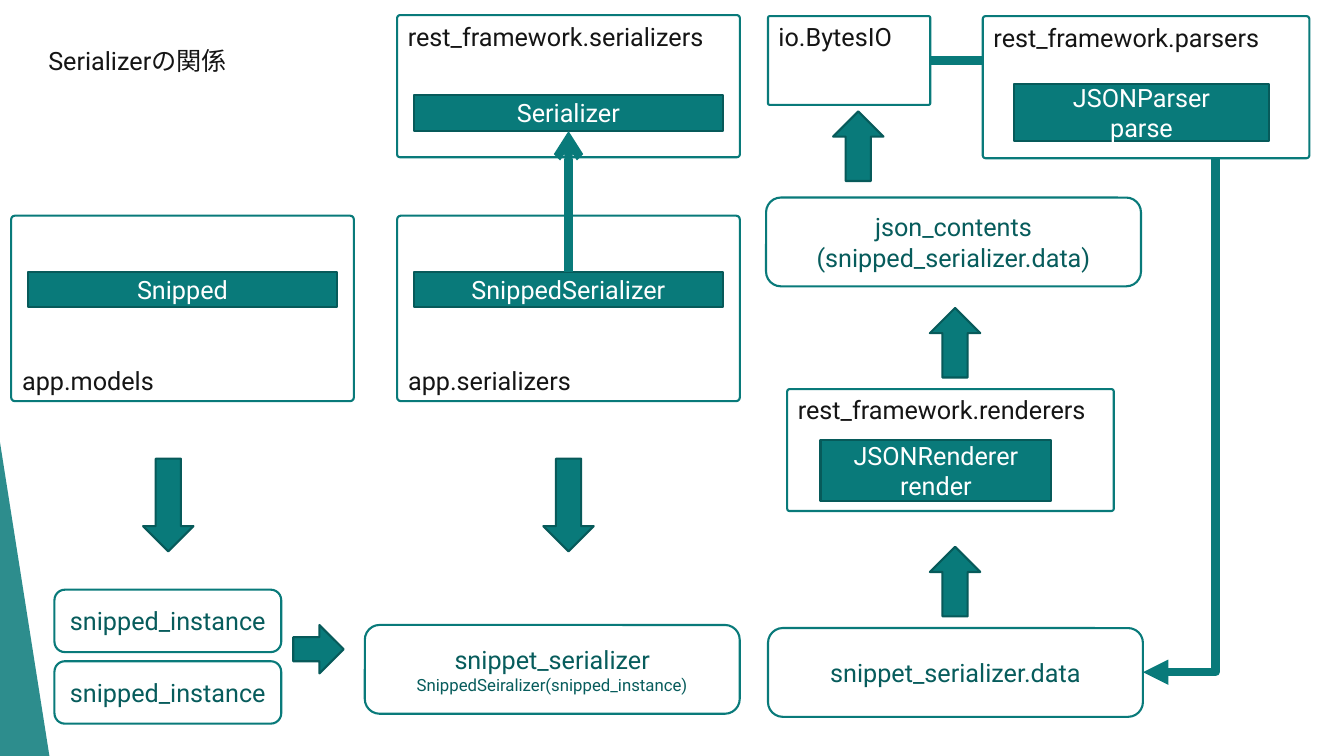
from lxml import etree
from pptx import Presentation
from pptx.dml.color import RGBColor
from pptx.enum import shapes, text
from pptx.oxml import ns
from pptx.util import Pt

TEAL = RGBColor(0x09, 0x7A, 0x7A)
EDGE = RGBColor(0x07, 0x5A, 0x5A)
DEEP = RGBColor(0x07, 0x5C, 0x5C)
INK = RGBColor(0x15, 0x15, 0x15)
WHITE = RGBColor(0xFF, 0xFF, 0xFF)
KIND = shapes.MSO_SHAPE
ROUTE = shapes.MSO_CONNECTOR
ANCHOR = text.MSO_ANCHOR
ALIGN = text.PP_ALIGN


def add_xml(parent, tag, **attributes):
    return etree.SubElement(parent, ns.qn(tag), attributes)


class Diagram:
    font, size, border, thick = "Roboto", 18, 1.5, 6

    def __init__(self, slide):
        self.shapes = slide.shapes

    def shape(self, kind, box, fill, line):
        item = self.shapes.add_shape(kind, *map(Pt, box))
        item.shadow.inherit = False
        item.fill.solid()
        item.fill.fore_color.rgb = fill
        if line is None:
            item.line.fill.background()
        else:
            item.line.color.rgb = line
            item.line.width = Pt(self.border)
        return item

    def label(self, item, words, color, anchor, align, sizes=()):
        frame = item.text_frame
        frame.word_wrap = True
        frame.vertical_anchor = anchor
        frame.text = words
        for i, paragraph in enumerate(frame.paragraphs):
            paragraph.alignment = align
            paragraph.font.name = self.font
            paragraph.font.size = Pt(sizes[i] if sizes else self.size)
            paragraph.font.color.rgb = color

    def module(self, words, box, anchor=ANCHOR.TOP):
        item = self.shape(KIND.ROUNDED_RECTANGLE, box, WHITE, TEAL)
        item.adjustments[0] = 0.02
        self.label(item, words, INK, anchor, ALIGN.LEFT)

    def class_bar(self, words, box):
        item = self.shape(KIND.ROUNDED_RECTANGLE, box, TEAL, EDGE)
        item.adjustments[0] = 0
        self.label(item, words, WHITE, ANCHOR.MIDDLE, ALIGN.CENTER)

    def instance(self, words, box, sizes=()):
        item = self.shape(KIND.ROUNDED_RECTANGLE, box, WHITE, TEAL)
        self.label(item, words, DEEP, ANCHOR.MIDDLE, ALIGN.CENTER, sizes)

    def block_arrow(self, center, length, turn=0, breadth=36):
        x, y = center
        box = (x - length / 2, y - breadth / 2, length, breadth)
        self.shape(KIND.RIGHT_ARROW, box, TEAL, EDGE).rotation = turn

    def connector(self, route, start, end, head, bend=None):
        item = self.shapes.add_connector(route, *map(Pt, start + end))
        item.line.color.rgb = TEAL
        item.line.width = Pt(self.thick)
        properties = item.element.spPr
        add_xml(properties.find(ns.qn("a:ln")), "a:tailEnd", type=head)
        add_xml(properties, "a:effectLst")
        if bend is not None:
            guides = properties.find(".//" + ns.qn("a:avLst"))
            add_xml(guides, "a:gd", name="adj1", fmla=f"val {round(bend * 100000)}")

    def title(self, words, box):
        item = self.shapes.add_textbox(*map(Pt, box))
        self.label(item, words, INK, ANCHOR.TOP, ALIGN.LEFT)
        item.text_frame.auto_size = text.MSO_AUTO_SIZE.SHAPE_TO_FIT_TEXT

    def corner(self, box):
        item = self.shape(KIND.ISOSCELES_TRIANGLE, box, TEAL, None)
        item.adjustments[0] = 0
        color = item.element.spPr.find(".//" + ns.qn("a:srgbClr"))
        add_xml(color, "a:alpha", val="85000")


deck = Presentation()
deck.slide_width, deck.slide_height = Pt(960), Pt(540)
diagram = Diagram(deck.slides.add_slide(deck.slide_layouts[6]))

# Corner decoration and the parsing route behind the boxes
diagram.corner((0, 316, 35.3, 224))
diagram.connector(ROUTE.ELBOW, (664.5, 43.2), (816.5, 480.2), "triangle", 1.34)

# App modules and the serializer base class
MODELS, SERIALIZERS = 8, 283.7
MODULE_W, BAR_W, BAR_INSET = 244.8, 220.3, 12.2
diagram.module("rest_framework.serializers", (SERIALIZERS, 10.8, MODULE_W, 101.5))
diagram.class_bar("Serializer", (SERIALIZERS + BAR_INSET, 67.7, BAR_W, 25.9))
for left, module, name in ((MODELS, "app.models", "Snipped"),
                           (SERIALIZERS, "app.serializers", "SnippedSerializer")):
    diagram.module(module, (left, 154.1, MODULE_W, 132.5), ANCHOR.BOTTOM)
    diagram.class_bar(name, (left + BAR_INSET, 194.4, BAR_W, 25.2))
diagram.connector(ROUTE.STRAIGHT, (406.1, 194.4), (406.1, 93.6), "arrow")

# Rendering and parsing modules
diagram.module("rest_framework.renderers", (562.3, 277.9, 233.3, 87.1))
diagram.class_bar("JSONRenderer\nrender", (586.1, 314.6, 164.9, 43.2))
diagram.module("rest_framework.parsers", (702, 11.5, 233.3, 101.5))
diagram.class_bar("JSONParser\nparse", (724.3, 59.8, 182.2, 41))
diagram.module("io.BytesIO", (548.6, 11.5, 115.9, 63.4))

# Instances and data
for row in range(2):
    diagram.instance("snipped_instance", (38.9, 421.2 + 51.1 * row, 162, 44.6))
DATA_SIZE = (267.8, 63.4)
diagram.instance("snippet_serializer\nSnippedSeiralizer(snipped_instance)",
                 (260.6, 446.4, *DATA_SIZE), (18, 12))
diagram.instance("snippet_serializer.data", (548.6, 448.6, *DATA_SIZE))
diagram.instance("json_contents\n(snipped_serializer.data)", (547.2, 141.1, *DATA_SIZE))

# Flow arrows: across, down, then up
diagram.block_arrow((227.5, 463.7), 36, breadth=34.6)
for x in (120.2, 406.1):
    diagram.block_arrow((x, 360.7), 66.2, 90)
for center in ((682.2, 415.4), (682.2, 244.8), (613.1, 104.4)):
    diagram.block_arrow(center, 49.7, 270)

diagram.title("Serializerの関係", (27.4, 28.8, 213.8, 28.8))

deck.save("out.pptx")
